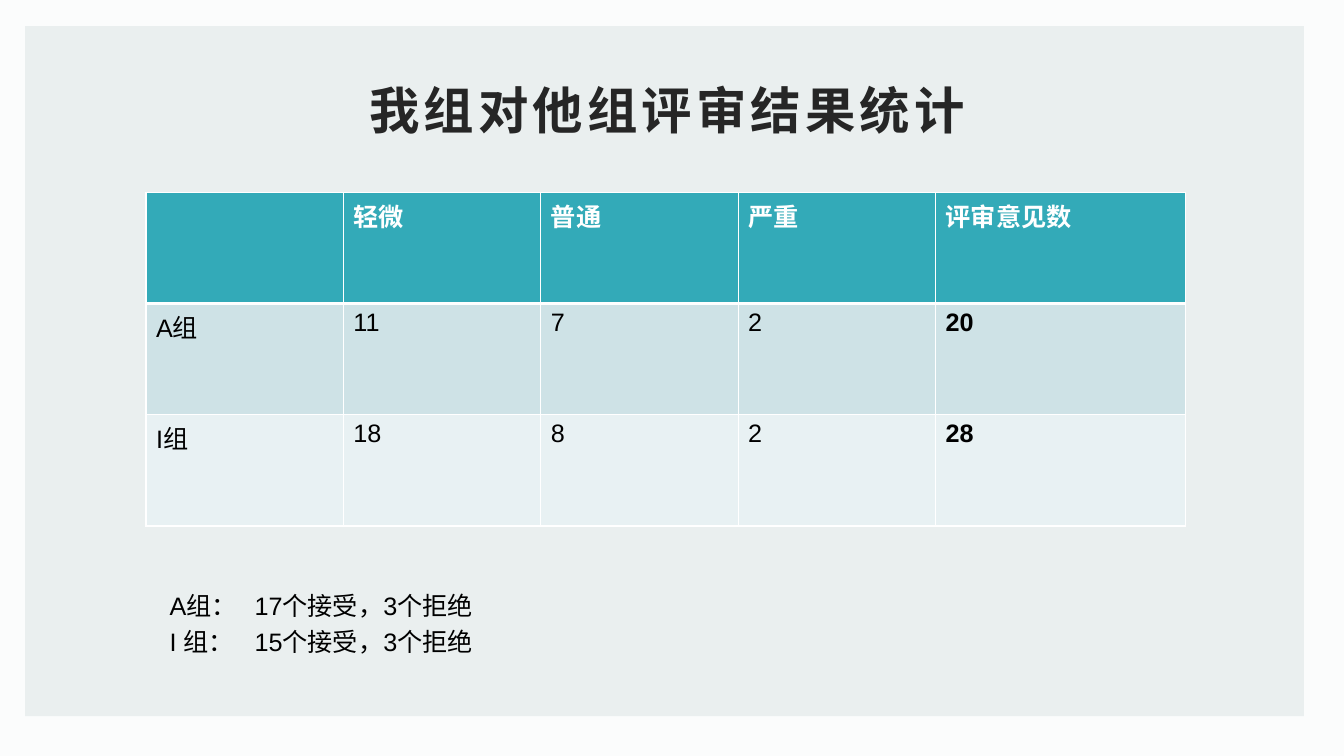
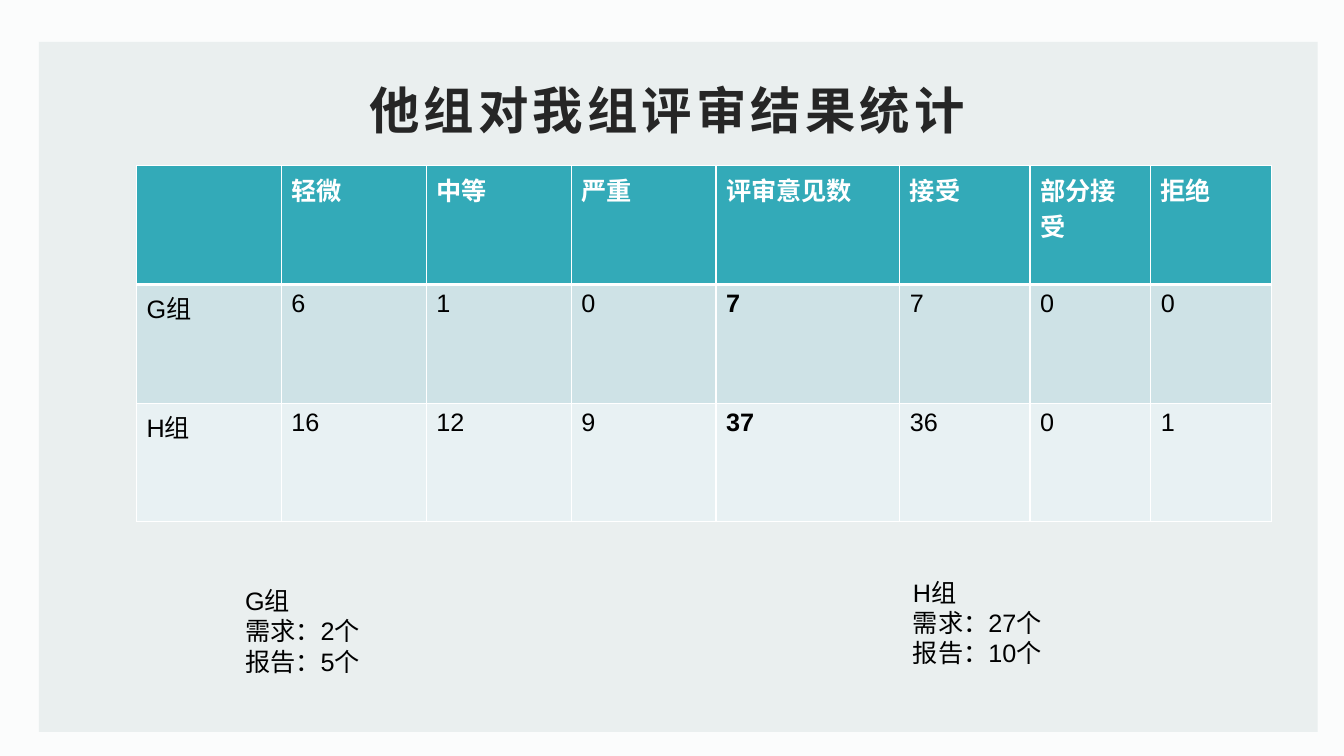
from lxml.etree import SubElement
from pptx import Presentation
from pptx.dml.color import RGBColor
from pptx.enum.shapes import MSO_SHAPE
from pptx.enum.text import MSO_ANCHOR, MSO_AUTO_SIZE, PP_ALIGN
from pptx.oxml.ns import qn
from pptx.util import Pt

PX = 9525
SLIDE_SIZE = (1280, 720)
PANEL_SIZE = (1218, 657)
TITLE_BOX = (58, 67, 1152, 74)
TOTAL_COLUMN = 4
NOTE_TAB = 81

BACKGROUND = RGBColor(0xFB, 0xFC, 0xFC)
PANEL = RGBColor(0xEA, 0xEF, 0xEF)
TITLE = RGBColor(0x26, 0x26, 0x26)
HEADER = RGBColor(0x33, 0xAA, 0xB8)
BANDS = (RGBColor(0xCE, 0xE2, 0xE6), RGBColor(0xE8, 0xF1, 0xF3))
WHITE = RGBColor(0xFF, 0xFF, 0xFF)
BLACK = RGBColor(0x00, 0x00, 0x00)

TITLE_FONT = {"name": "Arial", "size": Pt(36), "bold": True}
BODY_FONT = {"name": "Arial", "size": Pt(18), "bold": False}
STRONG_FONT = BODY_FONT | {"bold": True}
TITLE_FRAME = {
    "word_wrap": True,
    "vertical_anchor": MSO_ANCHOR.MIDDLE,
    "margin_left": 11 * PX,
    "margin_top": 4 * PX,
    "margin_right": 8 * PX,
    "margin_bottom": 4 * PX,
}
NOTE_FRAME = {"word_wrap": True, "auto_size": MSO_AUTO_SIZE.SHAPE_TO_FIT_TEXT}
SUMMARY_FRAME = NOTE_FRAME | {"vertical_anchor": MSO_ANCHOR.MIDDLE}


def emu(*lengths):
    return [length * PX for length in lengths]


def apply_format(target, values):
    for name, value in values.items():
        setattr(target, name, value)


def write_run(paragraph, text, font, color):
    run = paragraph.add_run()
    run.text = text
    apply_format(run.font, font)
    run.font.color.rgb = color
    return run


def add_panel(slide, left, top):
    shape = slide.shapes.add_shape(MSO_SHAPE.RECTANGLE, *emu(left, top, *PANEL_SIZE))
    shape.shadow.inherit = False
    shape.fill.solid()
    shape.fill.fore_color.rgb = PANEL
    shape.line.fill.background()


def add_title(slide, box, text):
    frame = slide.shapes.add_textbox(*emu(*box)).text_frame
    apply_format(frame, TITLE_FRAME)
    paragraph = frame.paragraphs[0]
    paragraph.alignment = PP_ALIGN.CENTER
    run = write_run(paragraph, text, TITLE_FONT, TITLE)
    run._r.get_or_add_rPr().set("spc", "300")


def add_tab_stop(paragraph, position):
    tabs = SubElement(paragraph._p.get_or_add_pPr(), qn("a:tabLst"))
    SubElement(tabs, qn("a:tab"), pos=str(position * PX), algn="l")


def add_note(slide, box, lines, frame_format=NOTE_FRAME, line_spacing=1.0):
    frame = slide.shapes.add_textbox(*emu(*box)).text_frame
    apply_format(frame, frame_format)
    for index, line in enumerate(lines):
        paragraph = frame.add_paragraph() if index else frame.paragraphs[0]
        if "\t" in line:
            add_tab_stop(paragraph, NOTE_TAB)
        paragraph.line_spacing = line_spacing
        write_run(paragraph, line, BODY_FONT, BLACK)


def set_borders(cell, top, bottom):
    properties = cell._tc.get_or_add_tcPr()
    for side, width in {"L": 1, "R": 1, "T": top, "B": bottom}.items():
        line = SubElement(properties, qn(f"a:ln{side}"), w=str(Pt(width)))
        fill = SubElement(line, qn("a:solidFill"))
        SubElement(fill, qn("a:srgbClr"), val=str(WHITE))


def fill_cell(cell, text, row, column):
    is_header = row == 0
    set_borders(cell, 3 if row == 1 else 1, 3 if is_header else 1)
    cell.fill.solid()
    cell.fill.fore_color.rgb = HEADER if is_header else BANDS[(row - 1) % 2]
    if text:
        font = STRONG_FONT if is_header or column == TOTAL_COLUMN else BODY_FONT
        write_run(cell.text_frame.paragraphs[0], text, font, WHITE if is_header else BLACK)


def add_review_table(slide, left, top, widths, row_height, rows):
    size = (sum(widths), row_height * len(rows))
    table = slide.shapes.add_table(
        len(rows), len(widths), *emu(left, top, *size)
    ).table
    apply_format(table, {"first_row": False, "horz_banding": False})
    for column, width in zip(table.columns, widths):
        column.width = width * PX
    for row_index, row in enumerate(rows):
        table.rows[row_index].height = row_height * PX
        for column_index, text in enumerate(row):
            fill_cell(table.cell(row_index, column_index), text, row_index, column_index)


def start_slide(presentation, panel_corner, title):
    slide = presentation.slides.add_slide(presentation.slide_layouts[6])
    slide.background.fill.solid()
    slide.background.fill.fore_color.rgb = BACKGROUND
    add_panel(slide, *panel_corner)
    add_title(slide, TITLE_BOX, title)
    return slide


def build_given_reviews(presentation):
    slide = start_slide(presentation, (24, 25), "我组对他组评审结果统计")
    rows = [
        ("", "轻微", "普通", "严重", "评审意见数"),
        ("A组", "11", "7", "2", "20"),
        ("I组", "18", "8", "2", "28"),
    ]
    add_review_table(slide, 139, 183, [188] * 4 + [238], 106, rows)
    summary = ("A组：\t17个接受，3个拒绝", "I 组：\t15个接受，3个拒绝")
    add_note(slide, (152, 551, 832, 80), summary, SUMMARY_FRAME, 1.2)


def build_received_reviews(presentation):
    slide = start_slide(presentation, (37, 40), "他组对我组评审结果统计")
    rows = [
        ("", "轻微", "中等", "严重", "评审意见数", "接受", "部分接受", "拒绝"),
        ("G组", "6", "1", "0", "7", "7", "0", "0"),
        ("H组", "16", "12", "9", "37", "36", "0", "1"),
    ]
    add_review_table(slide, 130, 158, [138] * 4 + [175, 124, 115, 115], 113, rows)
    add_note(slide, (224, 553, 252, 97), ("G组", "需求：2个", "报告：5个"))
    add_note(slide, (860, 545, 232, 97), ("H组", "需求：27个", "报告：10个"))


def main():
    presentation = Presentation()
    presentation.slide_width, presentation.slide_height = emu(*SLIDE_SIZE)
    build_given_reviews(presentation)
    build_received_reviews(presentation)
    presentation.save("out.pptx")


if __name__ == "__main__":
    main()
